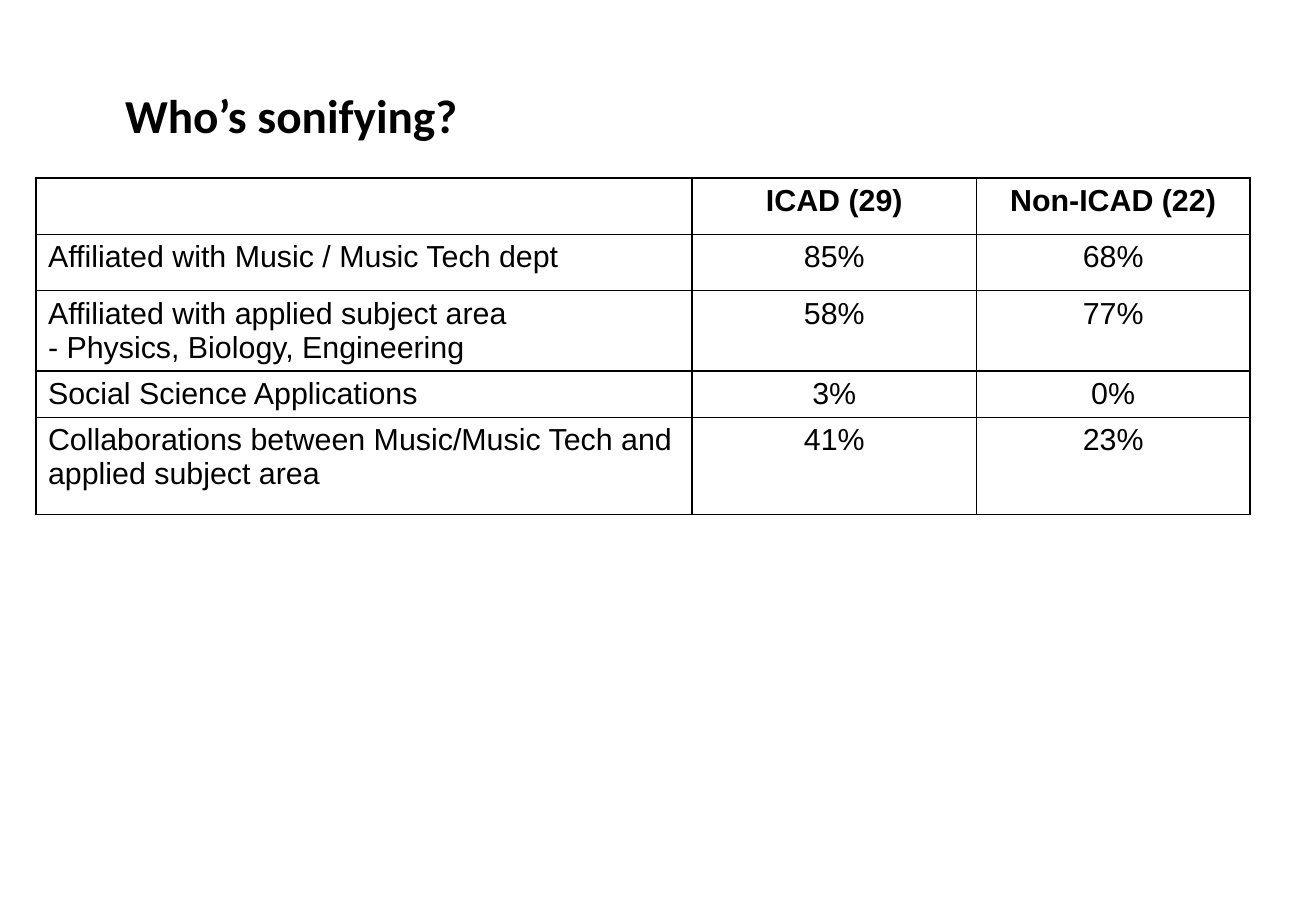
"""Builds the slide on who is sonifying."""
from pptx import Presentation
from pptx import util as u
from pptx.dml.color import RGBColor
from pptx.enum import text
from pptx.oxml import parse_xml
from pptx.oxml.ns import nsdecls

BLACK = RGBColor(0, 0, 0)
COLUMN_WIDTHS = [13.72, 5.94, 5.72]
ROW_HEIGHTS = [1.18, 1.18, 1.68, 0.96, 2.03]
ROWS = [
    ["", "ICAD (29)", "Non-ICAD (22)"],
    ["Affiliated with Music / Music Tech dept", "85%", "68%"],
    ["Affiliated with applied subject area\n- Physics, Biology, Engineering", "58%", "77%"],
    ["Social Science Applications", "3%", "0%"],
    ["Collaborations between Music/Music Tech and applied subject area", "41%", "23%"],
]


def format_paragraph(paragraph, font_name, size, bold, alignment):
    """Set the font and alignment of a paragraph."""
    paragraph.alignment = alignment
    font = paragraph.font
    font.name, font.size, font.bold = font_name, u.Pt(size), bold
    font.color.rgb = BLACK


def add_borders(cell):
    """Draw a thin black line on each side of a cell."""
    properties = cell._tc.get_or_add_tcPr()
    for position, side in enumerate(["lnL", "lnR", "lnT", "lnB"]):
        properties.insert(position, parse_xml(
            f'<a:{side} {nsdecls("a")} w="{u.Pt(1)}"><a:solidFill>'
            f'<a:srgbClr val="{BLACK}"/></a:solidFill></a:{side}>'))


def set_title(page, words):
    """Place and format the title placeholder."""
    title = page.shapes.title
    title.left, title.top = u.Cm(2.36), u.Cm(1.12)
    title.width, title.height = u.Cm(11.18), u.Cm(2)
    frame = title.text_frame
    frame.text = words
    frame.vertical_anchor = text.MSO_ANCHOR.BOTTOM
    format_paragraph(frame.paragraphs[0], "Calibri", 28, True, text.PP_ALIGN.LEFT)


def add_affiliation_table(page):
    """Add the table that compares the two groups."""
    table = page.shapes.add_table(
        len(ROWS), len(COLUMN_WIDTHS), u.Cm(0.75), u.Cm(3.72),
        u.Cm(sum(COLUMN_WIDTHS)), u.Cm(sum(ROW_HEIGHTS))).table
    table.first_row = table.horz_banding = False
    for column, width in zip(table.columns, COLUMN_WIDTHS):
        column.width = u.Cm(width)
    for row_index, (row, height) in enumerate(zip(table.rows, ROW_HEIGHTS)):
        row.height = u.Cm(height)
        for column_index, cell in enumerate(row.cells):
            cell.text = ROWS[row_index][column_index]
            cell.fill.background()
            add_borders(cell)
            alignment = text.PP_ALIGN.CENTER if column_index else text.PP_ALIGN.LEFT
            for paragraph in cell.text_frame.paragraphs:
                format_paragraph(paragraph, "Arial", 18, row_index == 0, alignment)


def main():
    """Build and save the deck."""
    deck = Presentation()
    deck.slide_width, deck.slide_height = u.Cm(27.51), u.Cm(19.05)
    page = deck.slides.add_slide(deck.slide_layouts.get_by_name("Title Only"))
    set_title(page, "Who’s sonifying?")
    add_affiliation_table(page)
    deck.save("out.pptx")


if __name__ == "__main__":
    main()
